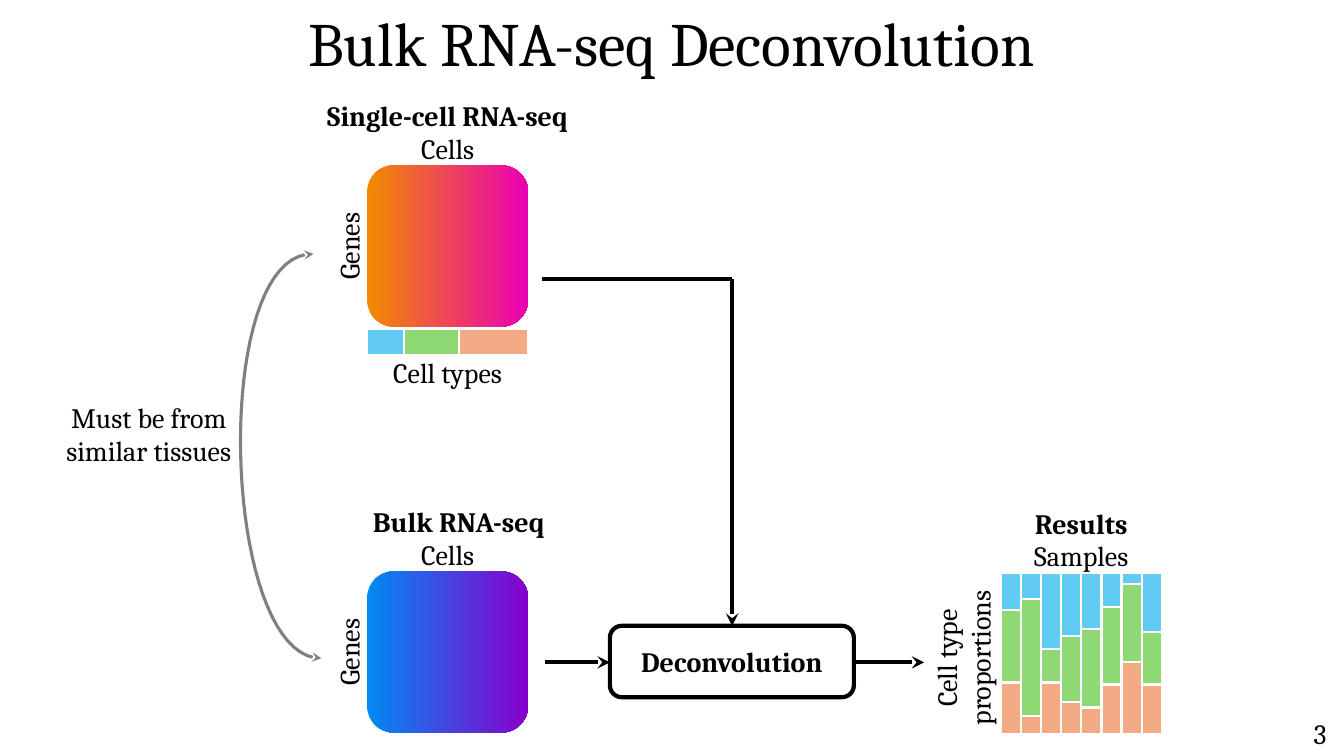
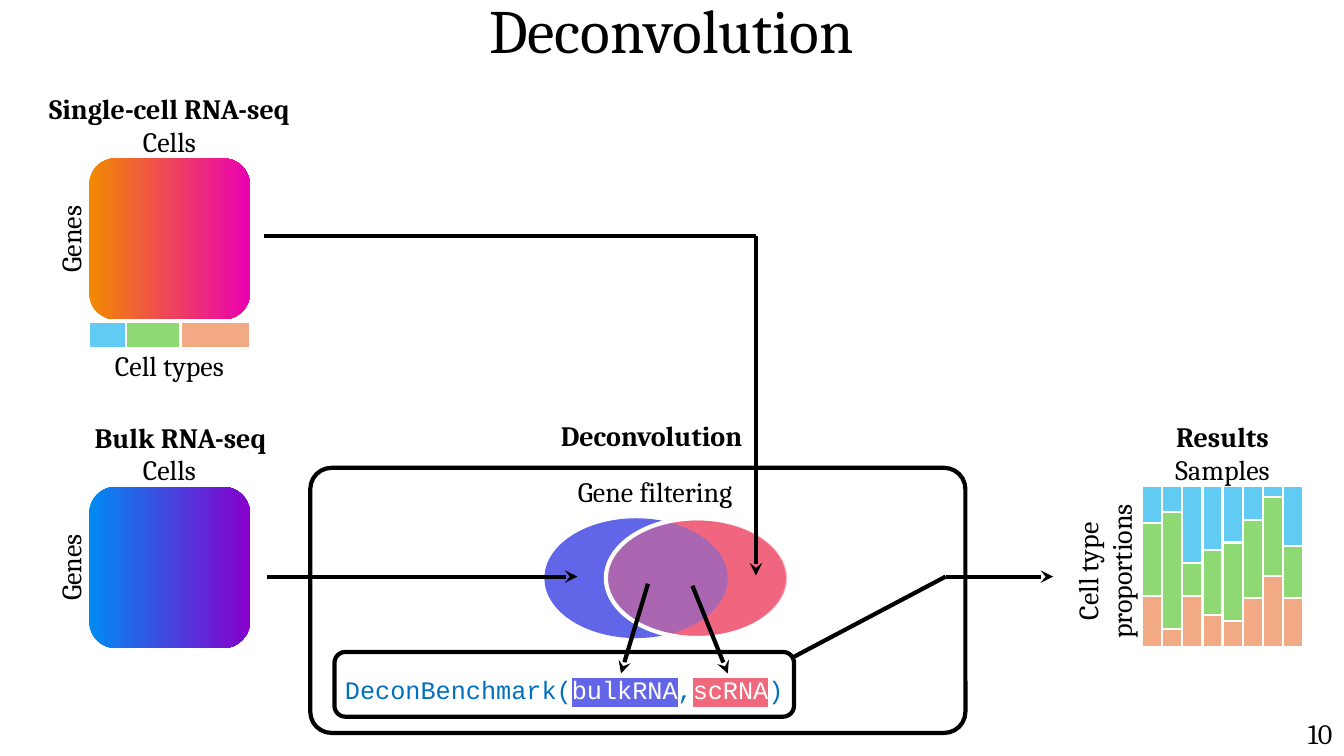
from itertools import accumulate, pairwise
from math import cos, radians, sin

from lxml.etree import SubElement
from pptx import Presentation
from pptx.dml.color import RGBColor
from pptx.enum.shapes import MSO_CONNECTOR, MSO_SHAPE
from pptx.enum.text import MSO_ANCHOR, MSO_AUTO_SIZE, PP_ALIGN
from pptx.oxml.ns import qn
from pptx.util import Cm, Pt

BLACK = RGBColor(0x00, 0x00, 0x00)
WHITE = RGBColor(0xFF, 0xFF, 0xFF)
GREY = RGBColor(0x80, 0x80, 0x80)
SKY = RGBColor(0x61, 0xCB, 0xF4)
GREEN = RGBColor(0x8E, 0xD9, 0x73)
PEACH = RGBColor(0xF2, 0xAA, 0x84)
INDIGO = RGBColor(0x61, 0x66, 0xE8)
ROSE = RGBColor(0xF0, 0x66, 0x7F)
CODE_BLUE = RGBColor(0x00, 0x70, 0xC0)
BULK_MARK = RGBColor(0x62, 0x65, 0xE8)
CELL_MARK = RGBColor(0xF0, 0x68, 0x7C)
WARM = (RGBColor(0xF2, 0x8A, 0x00), RGBColor(0xEA, 0x00, 0xB2))
COOL = (RGBColor(0x00, 0x8A, 0xF2), RGBColor(0x88, 0x00, 0xCC))

TILE = 4.06
LINE_H = 1.12
TYPE_COLOURS = (SKY, GREEN, PEACH)
TYPE_WIDTHS = (0.94, 1.37, 1.75)
SAMPLES = [(0.94, 2.77), (0.66, 3.61), (1.93, 2.77), (1.6, 3.25),
           (1.42, 3.4), (0.86, 2.82), (0.28, 2.26), (1.5, 2.82)]


class Deck:
    """Holds the deck's style and the slide being drawn."""

    def __init__(self):
        self.prs = Presentation()
        self.prs.slide_width, self.prs.slide_height = Cm(33.87), Cm(19.05)

    def slide(self, title, top, number):
        """Start a slide with its title and number."""
        self.s = self.prs.slides.add_slide(self.prs.slide_layouts[5])
        sp = self.s.shapes.title
        sp.left, sp.top, sp.width, sp.height = Cm(5), Cm(top), Cm(23.85), Cm(2.13)
        tf = sp.text_frame
        tf.auto_size, tf.word_wrap = MSO_AUTO_SIZE.NONE, True
        tf.vertical_anchor = MSO_ANCHOR.MIDDLE
        self.run(tf, title, size=44)
        self.label(number, 33.27, 17.93, 1.22)

    def run(self, tf, text, size=20, bold=False, colour=BLACK, font="Cambria", mark=None):
        """Add a run to the first, centred paragraph."""
        p = tf.paragraphs[0]
        p.alignment = PP_ALIGN.CENTER
        r = p.add_run()
        r.text = text
        r.font.name, r.font.size, r.font.bold = font, Pt(size), bold
        r.font.color.rgb = colour
        if mark is not None:
            fill = r.font.color and p.runs[-1].font.fill
            fill.solid()
            fill.fore_color.rgb = colour
            rpr = r._r.get_or_add_rPr()
            highlight = SubElement(rpr, qn("a:highlight"))
            SubElement(highlight, qn("a:srgbClr"), val=str(mark))
            rpr.find(qn("a:solidFill")).addnext(highlight)

    def label(self, text, cx, y, w, h=LINE_H, bold=False, upright=False):
        """Add centred text around cx, turned upwards if upright."""
        sp = self.s.shapes.add_textbox(Cm(cx - w / 2), Cm(y), Cm(w), Cm(h))
        sp.rotation = 270 if upright else 0
        sp.text_frame.word_wrap = True
        self.run(sp.text_frame, text, bold=bold)

    def outline(self, sp, colour, width):
        """Set a shape's line and drop its shadow."""
        sp.shadow.inherit = False
        if colour is None:
            sp.line.fill.background()
        else:
            sp.line.color.rgb, sp.line.width = colour, Pt(width)

    def box(self, kind, x, y, w, h, fill=None, line=None, width=3, alpha=None, on=None):
        """Add a preset shape with a plain, gradient or no fill."""
        shapes = on or self.s.shapes
        sp = shapes.add_shape(kind, Cm(x), Cm(y), Cm(w), Cm(h))
        if fill is None:
            sp.fill.background()
        elif fill in (WARM, COOL):
            sp.fill.gradient()
            sp.fill.gradient_angle = 0
            for stop, colour in zip(sp.fill.gradient_stops, fill):
                stop.color.rgb = colour
        else:
            sp.fill.solid()
            sp.fill.fore_color.rgb = fill
        if alpha:
            clr = sp.element.spPr.find(qn("a:solidFill"))[0]
            SubElement(clr, qn("a:alpha"), val=str(alpha * 1000))
        self.outline(sp, line, width)
        return sp

    def arrowheads(self, sp, *ends):
        """Put stealth arrowheads on the given line ends."""
        ln = sp.element.spPr.find(qn("a:ln"))
        for end in ends:
            SubElement(ln, qn(f"a:{end}"), type="stealth")

    def route(self, *points):
        """Join points by straight lines, ending in an arrowhead."""
        for start, end in pairwise(points):
            c = self.s.shapes.add_connector(
                MSO_CONNECTOR.STRAIGHT, *map(Cm, start), *map(Cm, end))
            c.line.color.rgb, c.line.width = BLACK, Pt(3)
            SubElement(c.element.spPr, qn("a:effectLst"))
        self.arrowheads(c, "a:tailEnd"[2:])

    def curve(self, *controls):
        """Draw a double-headed cubic curve."""
        steps = 40
        points = []
        for i in range(steps + 1):
            t = i / steps
            weights = ((1 - t) ** 3, 3 * t * (1 - t) ** 2, 3 * t * t * (1 - t), t ** 3)
            points.append(tuple(Cm(sum(w * c for w, c in zip(weights, axis)))
                                for axis in zip(*controls)))
        builder = self.s.shapes.build_freeform(*points[0])
        builder.add_line_segments(points[1:], close=False)
        sp = builder.convert_to_shape()
        sp.fill.background()
        self.outline(sp, GREY, 2.25)
        self.arrowheads(sp, "headEnd", "tailEnd")

    def captions(self, x, y, title, columns, shift=0):
        """Add the title and column caption above a tile."""
        mid = x + TILE / 2
        self.label(title, mid + shift, y - 1.8, 9.7, bold=True)
        self.label(columns, mid, y - 0.98, 3.84)

    def matrix(self, x, y, title, fill, shift=0):
        """Add a captioned genes-by-cells matrix."""
        self.box(MSO_SHAPE.ROUNDED_RECTANGLE, x, y, TILE, TILE, fill)
        self.captions(x, y, title, "Cells", shift)
        self.label("Genes", x - 0.46, y + (TILE - LINE_H) / 2, 3.56, upright=True)

    def cell_types(self, x, y):
        """Add the cell type strip under a matrix."""
        lefts = accumulate(TYPE_WIDTHS, initial=x)
        for left, w, colour in zip(lefts, TYPE_WIDTHS, TYPE_COLOURS):
            self.box(MSO_SHAPE.RECTANGLE, left, y + 4.13, w, 0.64, colour, WHITE, 1.5)
        self.label("Cell types", x + TILE / 2, y + 4.67, 3.56)

    def rounded_mask(self, x, y, shapes):
        """Cover the corners of a tile with a white frame."""
        radius, edge = 0.68, 0.08
        inner = []
        for i, (dx, dy) in enumerate([(1, 1), (0, 1), (0, 0), (1, 0)]):
            cx = x + (TILE - radius if dx else radius)
            cy = y + (TILE - radius if dy else radius)
            for step in range(0, 91, 10):
                a = radians(90 * i + step)
                inner.append((Cm(cx + radius * cos(a)), Cm(cy + radius * sin(a))))
        low, high = -edge, TILE + edge
        outer = [(Cm(x + dx), Cm(y + dy))
                 for dx, dy in [(low, low), (high, low), (high, high), (low, high)]]
        builder = shapes.build_freeform(*inner[0])
        builder.add_line_segments(inner[1:])
        builder.move_to(*outer[0])
        builder.add_line_segments(outer[1:])
        sp = builder.convert_to_shape()
        sp.fill.solid()
        sp.fill.fore_color.rgb = WHITE
        self.outline(sp, WHITE, 3)

    def results(self, x, y):
        """Add the captioned cell type proportions per sample."""
        shapes = self.s.shapes.add_group_shape().shapes
        w = TILE / len(SAMPLES)
        for i, cuts in enumerate(SAMPLES):
            for (top, bottom), colour in zip(pairwise((0, *cuts, TILE)), TYPE_COLOURS):
                self.box(MSO_SHAPE.RECTANGLE, x + i * w, y + top, w, bottom - top,
                         colour, WHITE, 1.5, on=shapes)
        self.rounded_mask(x, y, shapes)
        self.captions(x, y, "Results", "Samples")
        self.label("Cell type proportions", x - 0.95, y + 1.17, 4.65, 1.96, upright=True)

    def data(self, x, single_y, bulk_y):
        """Add both input matrices in one column."""
        self.matrix(x, single_y, "Single-cell RNA-seq", WARM)
        self.cell_types(x, single_y)
        self.matrix(x, bulk_y, "Bulk RNA-seq", COOL, shift=0.28)


def overview(deck):
    """Draw the workflow overview."""
    deck.slide("Bulk RNA-seq Deconvolution", 0, "3")
    deck.data(9.25, 4.17, 14.4)
    deck.results(25.22, 14.43)
    sp = deck.box(MSO_SHAPE.ROUNDED_RECTANGLE, 15.37, 15.77, 6.15, 1.8, WHITE, BLACK)
    sp.text_frame.vertical_anchor = MSO_ANCHOR.MIDDLE
    deck.run(sp.text_frame, "Deconvolution", bold=True)
    deck.route((13.67, 7.04), (18.45, 7.04), (18.45, 15.77))
    deck.route((13.74, 16.69), (15.37, 16.69))
    deck.route((21.52, 16.69), (23.29, 16.69))
    deck.curve((7.9, 6.4), (5.28, 6.32), (5.56, 16.61), (8.1, 16.59))
    deck.label("Must be from similar tissues", 3.75, 9.96, 5.11, 1.96)


def gene_filtering(deck):
    """Draw the deconvolution step in detail."""
    deck.slide("Deconvolution", -0.33, "10")
    deck.data(2.24, 3.99, 12.27)
    deck.results(28.78, 12.25)
    sp = deck.box(MSO_SHAPE.ROUNDED_RECTANGLE, 7.82, 11.79, 16.51, 6.68, line=BLACK)
    sp.adjustments[0] = 0.08
    deck.label("Deconvolution", 16.42, 10.41, 5.66, bold=True)
    deck.label("Gene filtering", 16.51, 11.84, 6.25)
    for x, fill, line, alpha in [(15.24, ROSE, WHITE, None), (13.72, INDIGO, None, None),
                                 (15.27, ROSE, WHITE, 52)]:
        deck.box(MSO_SHAPE.OVAL, x, 13.06, 4.62, 3.02, fill, line, alpha=alpha)
    sp = deck.box(MSO_SHAPE.ROUNDED_RECTANGLE, 8.43, 16.43, 11.58, 1.63, line=BLACK)
    tf = sp.text_frame
    tf.word_wrap, tf.vertical_anchor = False, MSO_ANCHOR.MIDDLE
    tf.margin_left = tf.margin_right = tf.margin_bottom = 0
    tf.margin_top = Cm(0.25)
    for text, colour, mark in [("DeconBenchmark(", CODE_BLUE, None),
                               ("bulkRNA", WHITE, BULK_MARK), (",", CODE_BLUE, None),
                               ("scRNA", WHITE, CELL_MARK), (")", CODE_BLUE, None)]:
        deck.run(tf, text, 18, colour=colour, font="Courier New", mark=mark)
    deck.route((6.65, 5.94), (19.05, 5.94), (19.05, 14.5))
    deck.route((6.73, 14.53), (14.55, 14.53))
    deck.route((16.33, 14.71), (15.65, 16.97))
    deck.route((17.45, 14.76), (18.34, 16.97))
    deck.route((19.99, 16.56), (23.83, 14.53), (26.54, 14.53))


def main():
    """Build and save the deck."""
    deck = Deck()
    overview(deck)
    gene_filtering(deck)
    deck.prs.save("out.pptx")


if __name__ == "__main__":
    main()
